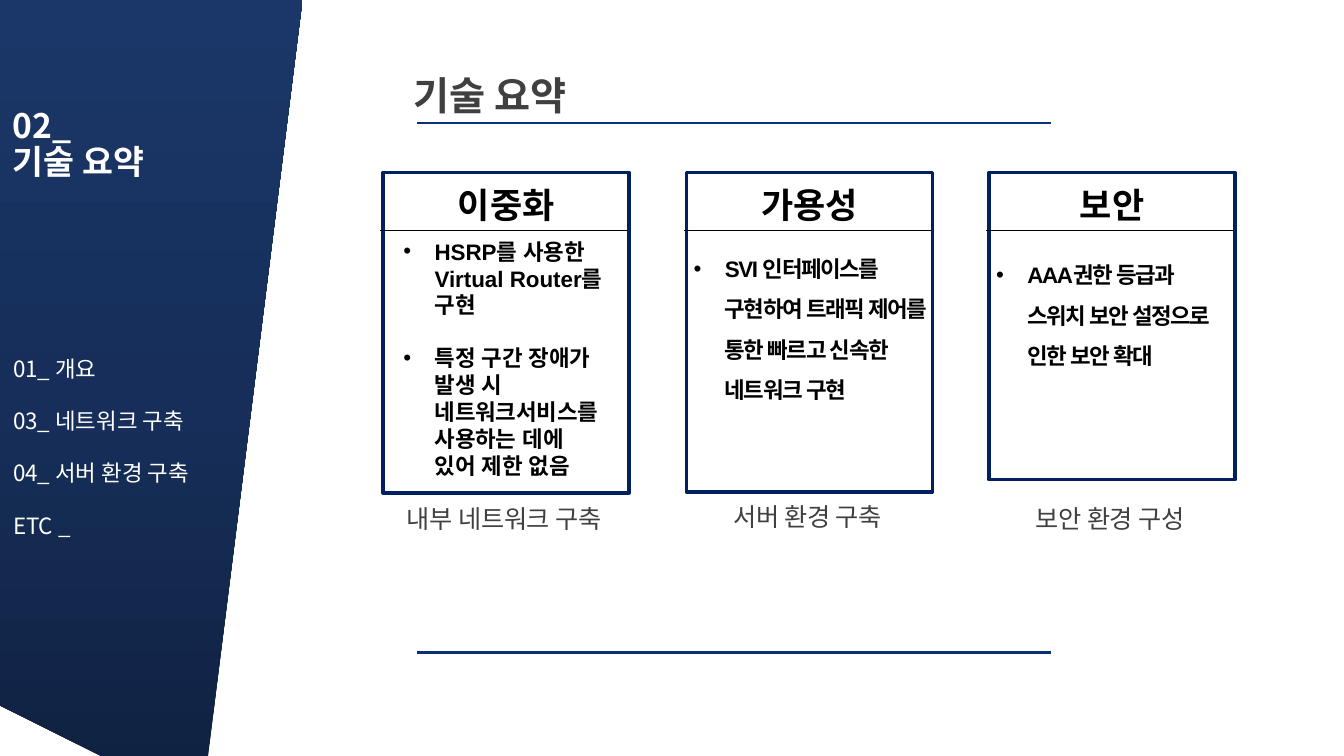
import pptx
import pptx.util
import pptx.dml.color
import pptx.enum.shapes
import pptx.enum.text
import pptx.oxml.ns
import copy
from lxml import etree

Inches = pptx.util.Inches
Pt = pptx.util.Pt
qn = pptx.oxml.ns.qn
RGB = pptx.dml.color.RGBColor.from_string
ALIGN = pptx.enum.text.PP_ALIGN
ANCHOR = pptx.enum.text.MSO_ANCHOR

COLORS = {
    "white": "FFFFFF", "black": "000000", "gray": "404040",
    "rule": "093079", "frame": "002060",
    "side_bottom": "10213F", "side_middle": "162E59", "side_top": "1B3769",
}
NOTO = "Noto Sans CJK KR"


def write(sp, box, lines, size, color, font=NOTO, bold=False, align=ALIGN.LEFT,
          anchor=ANCHOR.TOP, spacing=1.0, before=0, gap=0, spc=0, bullet=False):
    sp.left, sp.top, sp.width, sp.height = [Inches(v) for v in box]
    tf = sp.text_frame
    tf.word_wrap = True
    tf.auto_size = pptx.enum.text.MSO_AUTO_SIZE.NONE
    tf.vertical_anchor = anchor
    for i, line in enumerate(lines):
        p = tf.add_paragraph() if i else tf.paragraphs[0]
        p.alignment = align
        p.line_spacing = spacing
        p.space_before = Pt(gap if i else before)
        p.space_after = Pt(0)
        pPr = p._p.get_or_add_pPr()
        indent = Inches(0.31) if bullet else 0
        pPr.set("marL", str(indent))
        pPr.set("indent", str(-indent))
        if bullet:
            etree.SubElement(pPr, qn("a:buFont")).set("typeface", "Arial")
            etree.SubElement(pPr, qn("a:buChar")).set("char", "•")
        else:
            etree.SubElement(pPr, qn("a:buNone"))
        r = p.add_run()
        r.text = line
        r.font.size = Pt(size)
        r.font.bold = bold
        r.font.name = font
        r.font.color.rgb = RGB(COLORS[color])
        rPr = r._r.get_or_add_rPr()
        etree.SubElement(rPr, qn("a:ea")).set("typeface", font)
        if spc:
            rPr.set("spc", str(round(spc * 100)))


def add_rule(s, x1, x2, y, color, width):
    cx = s.shapes.add_connector(pptx.enum.shapes.MSO_CONNECTOR.STRAIGHT,
                                Inches(x1), Inches(y), Inches(x2), Inches(y))
    cx.line.color.rgb = RGB(COLORS[color])
    cx.line.width = Pt(width)
    etree.SubElement(cx._element.spPr, qn("a:effectLst"))


prs = pptx.Presentation()
prs.slide_width = Inches(13.33)
prs.slide_height = Inches(7.5)
s = prs.slides.add_slide(prs.slide_layouts[4])
title, nav, *bodies = s.placeholders

fb = s.shapes.build_freeform(0, 0, scale=Inches(1))
fb.add_line_segments([(2.72, 0), (1.95, 7.5), (0, 7.48)], close=True)
side = fb.convert_to_shape()
side.shadow.inherit = False
side.line.fill.background()
side.fill.gradient()
side.fill.gradient_angle = 90
first = side._element.xpath(".//a:gs")[0]
first.addnext(copy.deepcopy(first))
stops = zip(side.fill.gradient_stops, (0, 0.5, 1), ("side_bottom", "side_middle", "side_top"))
for stop, position, color in stops:
    stop.position = position
    stop.color.rgb = RGB(COLORS[color])
s.shapes._spTree.insert(2, side._element)

write(s.shapes.add_textbox(0, 0, 0, 0), (0.03, 0.6, 3.18, 1.69), ["02_", "기술 요약"],
      24, "white", bold=True, anchor=ANCHOR.MIDDLE, spacing=0.9)
write(nav, (0.03, 3.37, 3.18, 2.16),
      ["01_ 개요", "03_ 네트워크 구축", "04_ 서버 환경 구축", "ETC _"],
      16, "white", anchor=ANCHOR.MIDDLE, spacing=0.9, gap=20)
write(title, (4, 0.71, 4.88, 0.59), ["기술 요약"], 28, "gray", bold=True,
      spacing=0.9, before=10)
for y in (1.22, 6.47):
    add_rule(s, 4.14, 10.42, y, "rule", 2)

cards = [
    (3.8, 3.18, "이중화", "내부 네트워크 구축", 4.98, (3.9, 2.31, 2.25, 2.52), 1.0, 0,
     ["HSRP를 사용한 Virtual Router를 구현",
      "특정 구간 장애가 발생 시 네트워크서비스를 사용하는 데에 있어 제한 없음"]),
    (6.81, 3.17, "가용성", "서버 환경 구축", 4.96, (6.78, 2.35, 2.57, 1.72), 1.5, -1,
     ["SVI 인터페이스를 구현하여 트래픽 제어를 통한 빠르고 신속한 네트워크 구현"]),
    (9.81, 3.05, "보안", "보안 환경 구성", 4.98, (9.78, 2.41, 2.45, 1.26), 1.5, -1,
     ["AAA권한 등급과 스위치 보안 설정으로 인한 보안 확대"]),
]
for body, card in zip(bodies, cards):
    x, height, heading, caption, caption_y, box, spacing, spc, items = card
    frame = s.shapes.add_shape(pptx.enum.shapes.MSO_SHAPE.RECTANGLE, Inches(x),
                               Inches(1.71), Inches(2.44), Inches(height))
    frame.shadow.inherit = False
    frame.fill.background()
    frame.line.color.rgb = RGB(COLORS["frame"])
    frame.line.width = Pt(2.5)
    add_rule(s, x - 0.03, x + 2.43, 2.29, "black", 0.5)
    write(s.shapes.add_textbox(0, 0, 0, 0), (x + 0.3, 1.77, 1.84, 0.52), [heading],
          25, "black", bold=True, align=ALIGN.CENTER)
    write(body, box, items, 16, "black", font="Arial", bold=True, spacing=spacing,
          gap=18.4, spc=spc, bullet=True)
    write(s.shapes.add_textbox(0, 0, 0, 0), (x, caption_y, 2.4, 0.86), [caption],
          18, "gray", align=ALIGN.CENTER, spacing=0.9, before=10, spc=-0.2)

prs.save("out.pptx")
